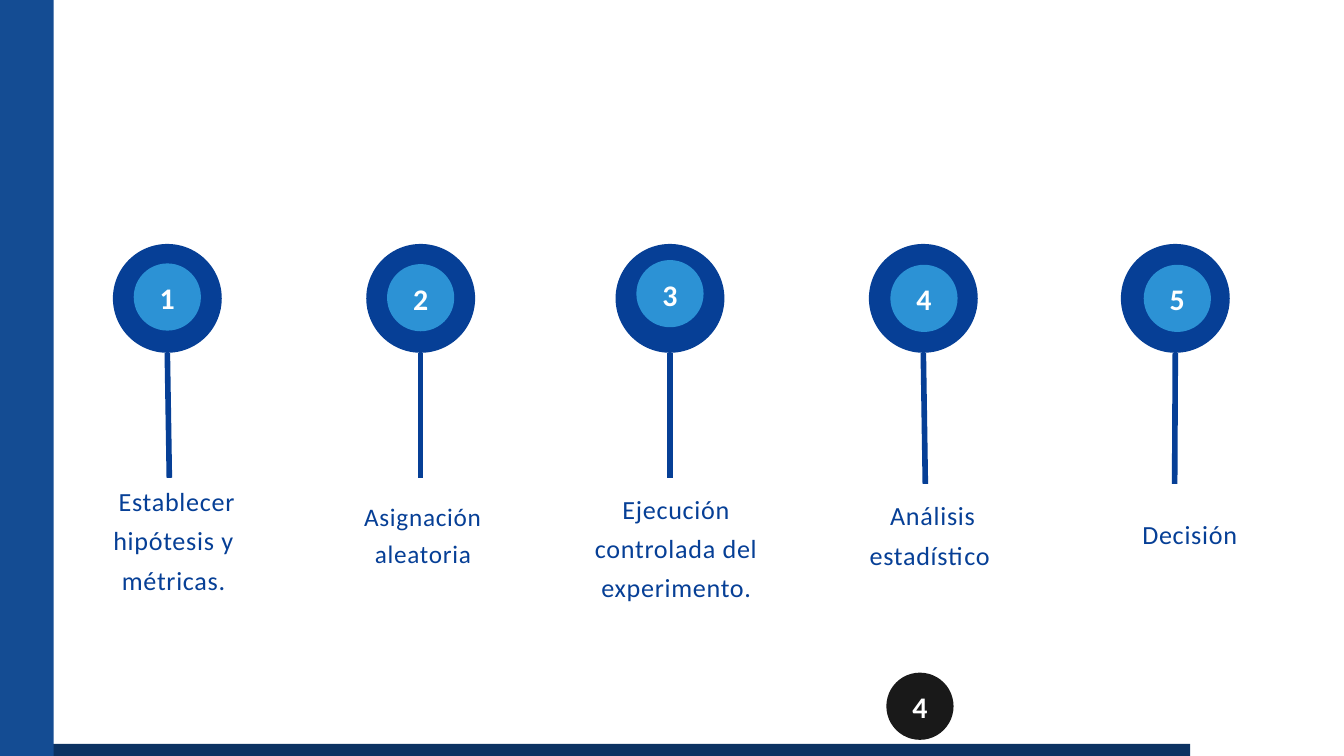
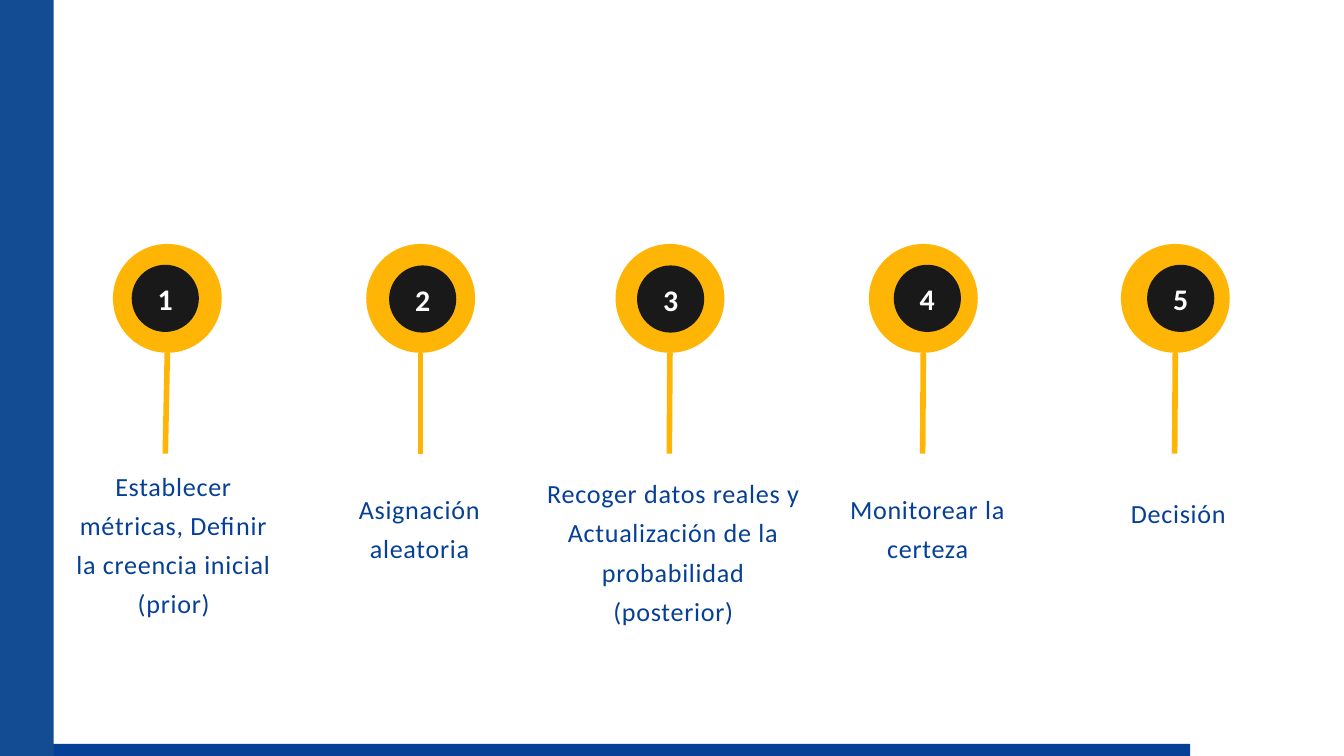
from pptx import Presentation
from pptx import util as u
from pptx.dml.color import RGBColor
from pptx.enum import shapes, text
from pptx.oxml.ns import qn
from lxml import etree

BLUE, SKY, GOLD, DARK = "063F96", "2C92D5", "FFB506", "191919"
NAVY, SIDE, WHITE = "0C3262", "144C93", "FFFFFF"
FONT = "Calibri"

# Left edges of the five rings, shared by both slides
RINGS = [1.68, 5.45, 9.16, 12.93, 16.68]
TOP, RING, DOT = 3.63, 1.62, 1

# Each step: dot (left, top), stem foot (x, y), label box, paragraphs, size
SLIDES = [
    dict(foot=NAVY, ring=BLUE, dot=SKY, extra=[("4", 13.19, 10.01)], steps=[
        ((1.99, 3.92), (2.52, 7.11), (1.12, 7.11, 2.93, 1.69),
         [" Establecer hipótesis y métricas."], 28),
        ((5.76, 3.93), (6.26, 7.11), (4.83, 7.34, 2.93, 1.08),
         ["Asignación aleatoria"], 27),
        ((9.47, 3.87), (9.97, 7.11), (8.6, 7.22, 2.93, 2.26),
         ["Ejecución controlada del experimento."], 28),
        ((13.25, 3.94), (13.77, 7.2), (12.37, 7.32, 2.93, 1.11),
         [" Análisis estadístico"], 28),
        ((17.02, 3.94), (17.48, 7.2), (16.24, 7.6, 2.93, 0.54),
         ["Decisión"], 28),
    ]),
    dict(foot=BLUE, ring=GOLD, dot=DARK, extra=[], steps=[
        ((1.96, 3.94), (2.46, 6.75), (1.12, 6.88, 2.93, 2.83),
         ["Establecer métricas, Definir la creencia inicial (prior)"], 28),
        ((5.79, 3.95), (6.26, 6.75), (4.78, 7.22, 2.93, 1.69),
         ["Asignación aleatoria"], 28),
        ((9.48, 3.95), (9.96, 6.75), (8.14, 6.99, 3.76, 3.4),
         ["Recoger datos reales y",
          "Actualización de la probabilidad (posterior)"], 28),
        ((13.3, 3.94), (13.73, 6.75), (12.34, 7.22, 2.93, 1.11),
         ["Monitorear la certeza"], 28),
        ((17.07, 3.94), (17.48, 6.75), (16.07, 7.28, 2.93, 0.54),
         ["Decisión"], 28),
    ]),
]


def rgb(code):
    return RGBColor.from_string(code)


def inches(*sizes):
    return [u.Inches(size) for size in sizes]


def block(slide, kind, box, color):
    shape = slide.shapes.add_shape(kind, *inches(*box))
    shape.shadow.inherit = False
    shape.fill.solid()
    shape.fill.fore_color.rgb = rgb(color)
    shape.line.fill.background()
    return shape


def write(shape, lines, size, color, lead, gap, bold=False):
    """Fill a shape with centred text; lead and gap are in points."""
    frame = shape.text_frame
    frame.word_wrap = True
    frame.margin_left = frame.margin_right = 0
    frame.margin_top = frame.margin_bottom = 0
    frame.text = "\n".join(lines)
    for para in frame.paragraphs:
        para.alignment = text.PP_ALIGN.CENTER
        para.line_spacing = u.Pt(lead)
        para.font.name = FONT
        para.font.size = u.Pt(size)
        para.font.bold = bold
        para.font.color.rgb = rgb(color)
        for run in para.runs:
            run._r.get_or_add_rPr().set("spc", str(round(gap * 100)))
    return frame


def add_dot(slide, label, left, top, color):
    dot = block(slide, shapes.MSO_SHAPE.OVAL, (left, top, DOT, DOT), color)
    frame = write(dot, [label], 32, WHITE, 41.6, 1.6, bold=True)
    frame.vertical_anchor = text.MSO_ANCHOR.MIDDLE
    frame.margin_bottom = u.Inches(0.03)


def add_stem(slide, start, end, color):
    stem = slide.shapes.add_connector(
        shapes.MSO_CONNECTOR.STRAIGHT, *inches(*start, *end))
    stem.line.color.rgb = rgb(color)
    stem.line.width = u.Pt(6)
    etree.SubElement(stem._element.spPr, qn("a:effectLst"))


def add_label(slide, box, lines, size):
    label = slide.shapes.add_textbox(*inches(*box))
    write(label, lines, size, BLUE, size * 1.5, 0.8)


def add_steps(deck, data):
    slide = deck.slides.add_slide(deck.slide_layouts[6])
    # Footer and side bands
    rect = shapes.MSO_SHAPE.RECTANGLE
    block(slide, rect, (0, 11.07, 17.71, 0.19), data["foot"])
    block(slide, rect, (0, 0, 0.8, 11.25), SIDE)
    # Numbered pins with their labels
    for num, (left, step) in enumerate(zip(RINGS, data["steps"]), 1):
        dot, foot, box, lines, size = step
        block(slide, shapes.MSO_SHAPE.OVAL, (left, TOP, RING, RING), data["ring"])
        add_stem(slide, foot, (left + RING / 2, TOP + RING), data["ring"])
        add_dot(slide, str(num), *dot, data["dot"])
        add_label(slide, box, lines, size)
    # Loose dots
    for label, left, top in data["extra"]:
        add_dot(slide, label, left, top, DARK)


def main():
    deck = Presentation()
    deck.slide_width, deck.slide_height = inches(20, 11.25)
    for data in SLIDES:
        add_steps(deck, data)
    deck.save("out.pptx")


if __name__ == "__main__":
    main()
